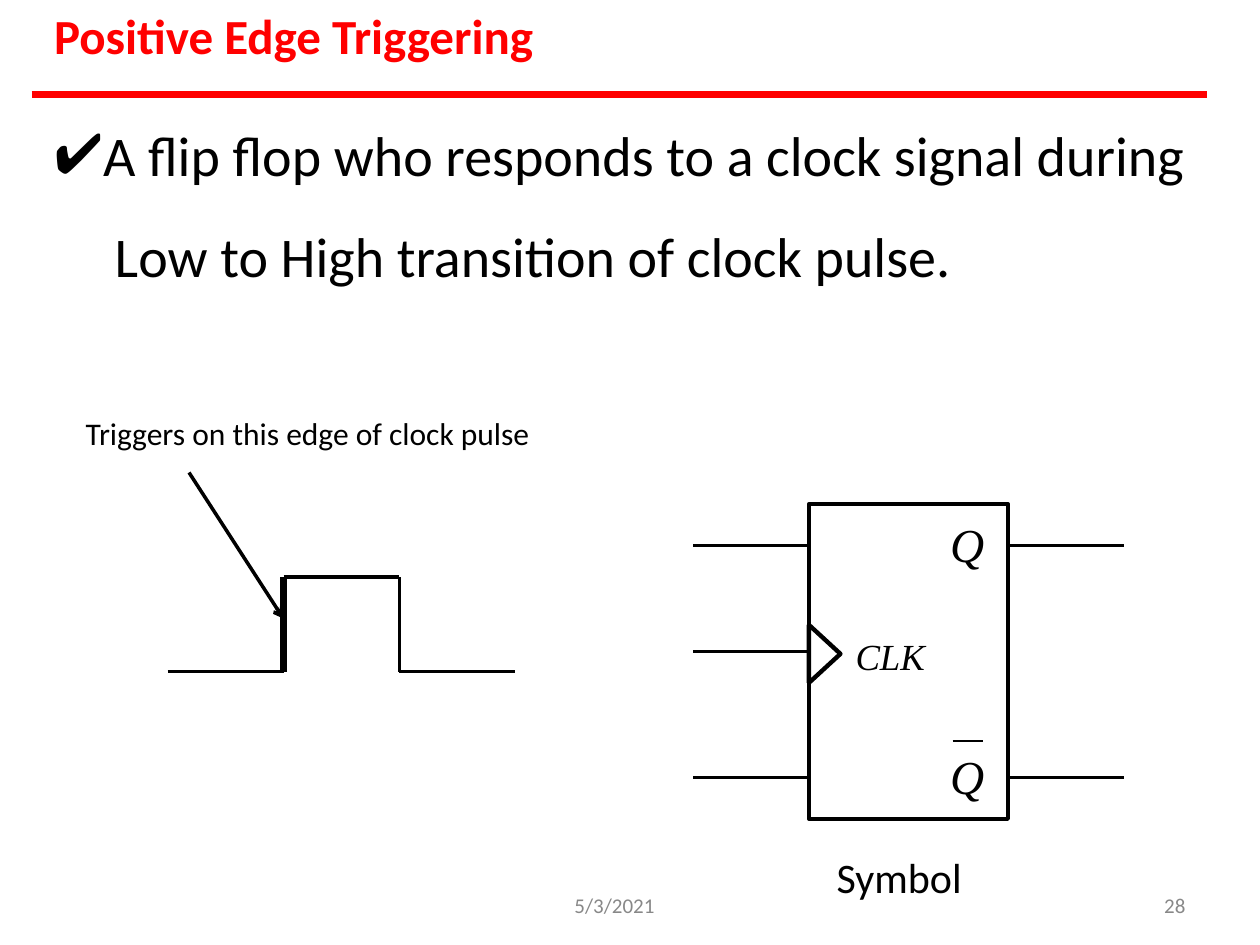
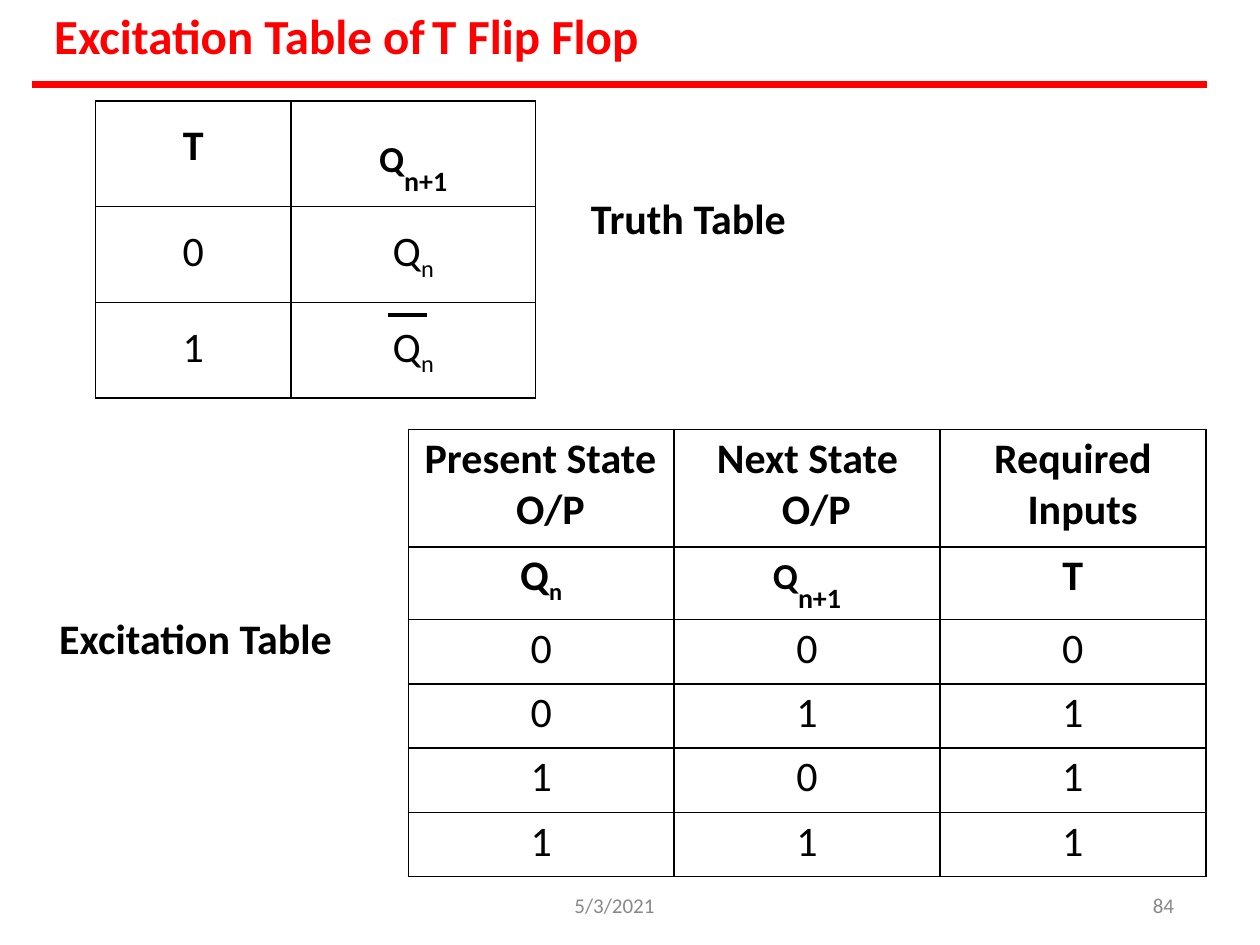
from pptx import Presentation
from pptx.dml.color import RGBColor
from pptx.enum.shapes import MSO_CONNECTOR, MSO_SHAPE
from pptx.enum.text import MSO_ANCHOR, MSO_AUTO_SIZE, PP_ALIGN
from pptx.oxml.ns import qn
from pptx.util import Inches, Pt
from lxml.etree import SubElement

RED = RGBColor(0xFF, 0x00, 0x00)
BLACK = RGBColor(0x00, 0x00, 0x00)
GRAY = RGBColor(0x88, 0x88, 0x88)
SANS = "Calibri"
SERIF = "Times New Roman"
TITLE = {"size": Pt(28), "bold": True, "color": RED}
FOOTER = {"size": Pt(12), "color": GRAY}
CAPTION = {"size": Pt(24), "bold": True}
PIN = {"size": Pt(27), "italic": True, "name": SERIF}


def write(holder, runs, top=0.01, align=PP_ALIGN.LEFT, spacing=1.0, margin=0, indent=0, **font):
    """Fill a text frame or table cell with one paragraph of (text, size, baseline %) runs."""
    frame = getattr(holder, "text_frame", holder)
    for side, inset in {"left": 0, "top": top, "right": 0, "bottom": 0}.items():
        setattr(holder, f"margin_{side}", Inches(inset))
    holder.vertical_anchor = MSO_ANCHOR.TOP
    frame.word_wrap = True
    paragraph = frame.paragraphs[0]
    layout = {"alignment": align, "line_spacing": spacing, "space_before": Pt(0)}
    for name, value in layout.items():
        setattr(paragraph, name, value)
    properties = paragraph._p.get_or_add_pPr()
    properties.set("marL", str(Inches(margin)))
    properties.set("indent", str(Inches(indent)))
    if isinstance(runs, str):
        runs = [(runs, None, 0)]
    for text, size, baseline in runs:
        for number, part in enumerate(text.split("\v")):
            if number:
                paragraph.add_line_break()
            run = paragraph.add_run()
            run.text = part
            style = {"name": SANS, "bold": False, "color": BLACK} | font
            if size:
                style["size"] = Pt(size)
            run.font.color.rgb = style.pop("color")
            for name, value in style.items():
                setattr(run.font, name, value)
            if baseline:
                run._r.get_or_add_rPr().set("baseline", str(baseline * 1000))
    return properties


def draw_line(slide, x1, y1, x2, y2, width=2, color=BLACK):
    line = slide.shapes.add_connector(
        MSO_CONNECTOR.STRAIGHT, Inches(x1), Inches(y1), Inches(x2), Inches(y2))
    line.line.color.rgb = color
    line.line.width = Pt(width)
    SubElement(line._element.spPr, qn("a:effectLst"))
    return line


deck = Presentation()
deck.slide_width, deck.slide_height = Inches(10), Inches(7.5)
edge_slide = deck.slides.add_slide(deck.slide_layouts[1])
table_slide = deck.slides.add_slide(deck.slide_layouts[5])

# Title, rule and labels of each slide
pages = [
    (edge_slide, "Positive Edge Triggering", 0.75, [
        ("5/3/2021", 4.56, 7.07, 0.9, FOOTER),
        ("28", 9.24, 7.07, 0.3, FOOTER),
        ("Triggers on this edge of clock pulse", 0.68, 3.28, 3.8, {"size": Pt(18)}),
        ("Symbol", 6.64, 6.75, 1.2, {"size": Pt(24)}),
    ]),
    (table_slide, "Excitation Table of\tT Flip Flop", 0.67, [
        ("5/3/2021", 4.56, 7.07, 0.9, FOOTER),
        ("84", 9.15, 7.07, 0.3, FOOTER),
        ("Truth Table", 4.69, 1.52, 1.8, CAPTION),
        ("Excitation Table", 0.47, 4.85, 2.4, CAPTION),
    ]),
]
for slide, heading, rule_y, labels in pages:
    title = slide.shapes.title
    title.left, title.top = Inches(0.42), Inches(0.03)
    title.width, title.height = Inches(6), Inches(0.5)
    title.text_frame.auto_size = MSO_AUTO_SIZE.NONE
    title_properties = write(title.text_frame, heading, margin=0.01, **TITLE)
    if "\t" in heading:
        tabs = SubElement(title_properties, qn("a:tabLst"))
        SubElement(tabs, qn("a:tab"), pos=str(Inches(3.01)), algn="l")
    draw_line(slide, 0.25, rule_y, 9.58, rule_y, 4, RED)
    for text, x, y, width, style in labels:
        label = slide.shapes.add_textbox(Inches(x), Inches(y), Inches(width), Inches(0.4))
        write(label.text_frame, text, **style)

# Definition
definition = edge_slide.placeholders[1]
definition.left, definition.top = Inches(0.42), Inches(0.68)
definition.width, definition.height = Inches(9.08), Inches(1.63)
definition.text_frame.auto_size = MSO_AUTO_SIZE.NONE
definition_properties = write(
    definition.text_frame,
    "A flip flop who responds to a clock signal during\v Low to High transition of clock pulse.",
    spacing=1.5, margin=0.39, indent=-0.38, size=Pt(32))
bullet_color = SubElement(definition_properties, qn("a:buClr"))
SubElement(bullet_color, qn("a:srgbClr"), val=str(BLACK))
SubElement(definition_properties, qn("a:buChar"), char="✔")

# Clock pulse
low, high, rise, fall, step = 5.33, 4.58, 2.25, 3.17, 0.92
for x1, y1, x2, y2, width in [
    (rise - step, low, rise, low, 2),
    (rise, high, fall, high, 2.75),
    (fall, low, fall + step, low, 2),
    (rise, low, rise, high, 4.5),
    (fall, low, fall, high, 2),
]:
    draw_line(edge_slide, x1, y1, x2, y2, width)
pointer = draw_line(edge_slide, 1.5, 3.75, 2.25, 4.91)
SubElement(pointer.line._get_or_add_ln(), qn("a:tailEnd"), type="arrow")

# Flip flop symbol
flip_flop = edge_slide.shapes.add_shape(
    MSO_SHAPE.RECTANGLE, Inches(6.42), Inches(4), Inches(1.58), Inches(2.5))
builder = edge_slide.shapes.build_freeform(Inches(6.42), Inches(4.96))
builder.add_line_segments(
    [(Inches(6.67), Inches(5.19)), (Inches(6.42), Inches(5.42))], close=True)
clock_wedge = builder.convert_to_shape()
for outline, width in ((flip_flop, 2.25), (clock_wedge, 2.5)):
    outline.shadow.inherit = False
    outline.fill.background()
    outline.line.color.rgb = BLACK
    outline.line.width = Pt(width)
for x, y in [(5.5, 4.33), (5.5, 5.17), (5.5, 6.17), (8, 4.33), (8, 6.17)]:
    draw_line(edge_slide, x, y, x + step, y)
draw_line(edge_slide, 7.56, 5.88, 7.8, 5.88, 1.34)
for text, x, y, style in [
    ("Q", 7.54, 4.08, PIN),
    ("CLK", 6.79, 5.02, PIN | {"size": Pt(21)}),
    ("Q", 7.54, 5.92, PIN),
]:
    pin = edge_slide.shapes.add_textbox(Inches(x), Inches(y), Inches(0.8), Inches(0.4))
    write(pin.text_frame, text, **style)

# Truth and excitation tables
PRESENT = [("Q", 24, 0), ("n", 24, -25)]
NEXT = [("Q", 36, 30), ("n+1", 16, 0)]
HEADER_INDENTS = {
    "Present State\v O/P": (0.78, -0.65),
    "Next State\v O/P": (0.78, -0.44),
    "Required\v Inputs": (0.62, -0.19),
}
tables = [
    (0.76, 0.8, [1.55, 1.94], [0.84, 0.76, 0.76], 1, 0.16, 1.0,
     [["T", NEXT], ["0", PRESENT], ["1", PRESENT]]),
    (3.24, 3.41, [2.11] * 3, [0.93, 0.57] + [0.51] * 4, 2, 0.03, 0.78,
     [list(HEADER_INDENTS), [PRESENT, NEXT, "T"],
      *map(list, ("000", "011", "101", "111"))]),
]
for x, y, widths, heights, header_rows, inset, next_spacing, contents in tables:
    table = table_slide.shapes.add_table(
        len(heights), len(widths), Inches(x), Inches(y),
        Inches(sum(widths)), Inches(sum(heights))).table
    table.first_row = table.horz_banding = False
    for column, width in zip(table.columns, widths):
        column.width = Inches(width)
    for row_number, (row, height) in enumerate(zip(table.rows, heights)):
        row.height = Inches(height)
        for cell, content in zip(row.cells, contents[row_number]):
            style = {"top": inset, "align": PP_ALIGN.CENTER, "size": Pt(24),
                     "bold": row_number < header_rows}
            if content is NEXT:
                style |= {"top": inset + 0.08, "spacing": next_spacing}
            elif isinstance(content, str) and content in HEADER_INDENTS:
                margin, indent = HEADER_INDENTS[content]
                style |= {"align": PP_ALIGN.LEFT, "margin": margin, "indent": indent}
            write(cell, content, **style)
            cell_properties = cell._tc.get_or_add_tcPr()
            for side in ("lnL", "lnR", "lnT", "lnB"):
                border = SubElement(cell_properties, qn(f"a:{side}"), w=str(Pt(1)))
                border_fill = SubElement(border, qn("a:solidFill"))
                SubElement(border_fill, qn("a:srgbClr"), val=str(BLACK))
            cell.fill.background()
draw_line(table_slide, 3.08, 2.5, 3.39, 2.5, 2.25)

deck.save("out.pptx")
